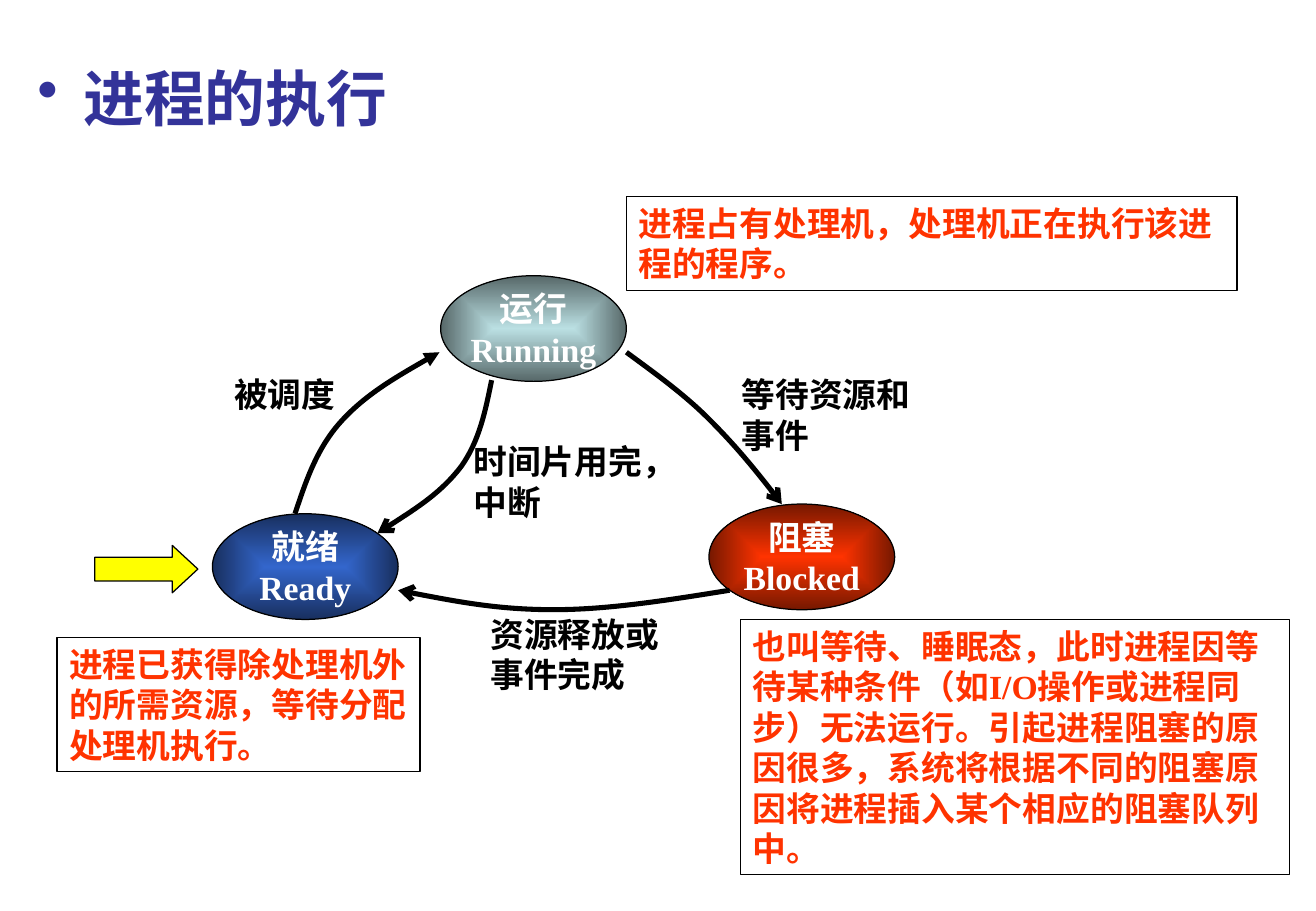
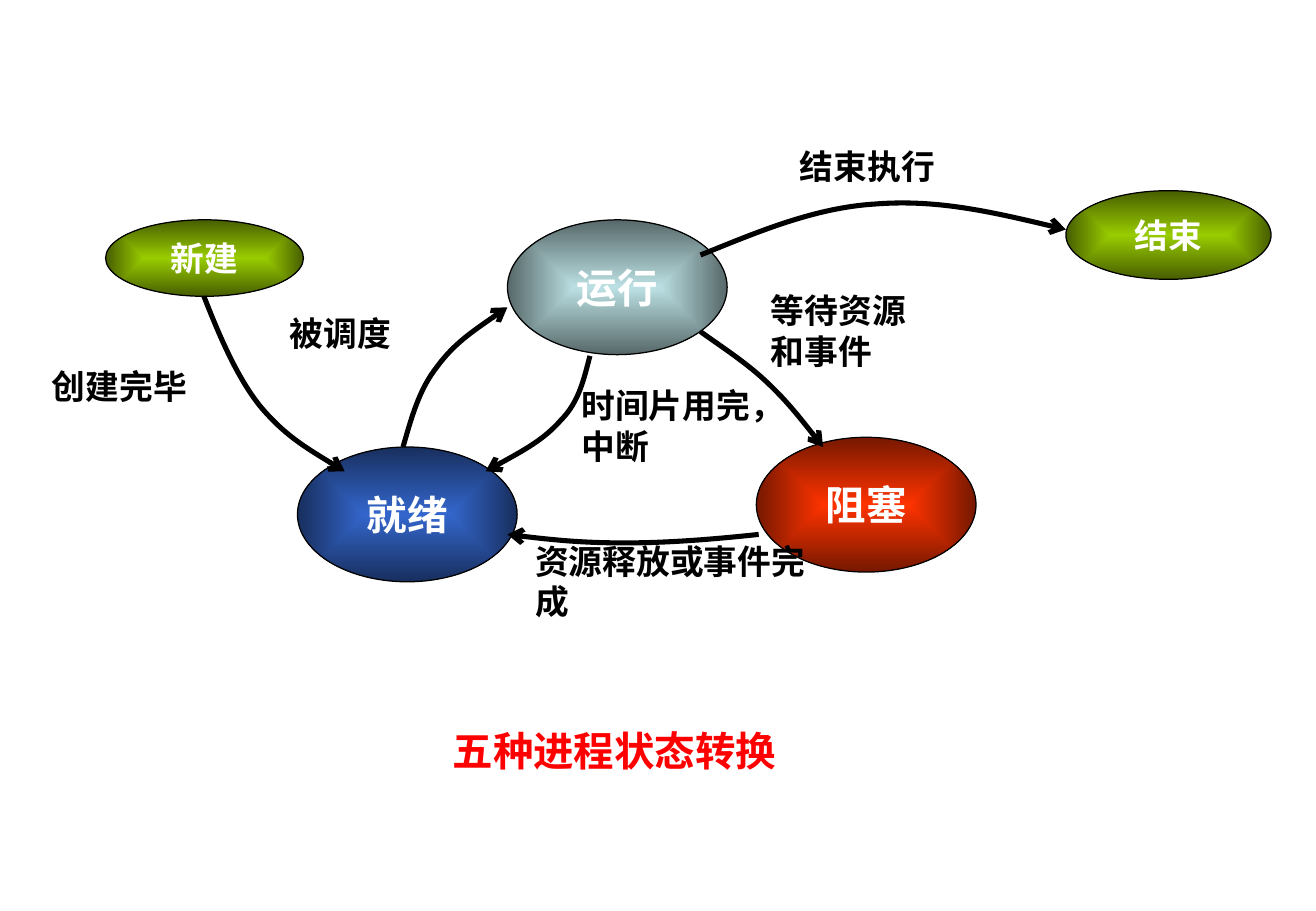
from dataclasses import dataclass

import lxml.etree
import pptx
import pptx.dml.color
import pptx.enum.shapes
import pptx.enum.text
import pptx.oxml.ns
import pptx.presentation
import pptx.shapes.autoshape
import pptx.slide
import pptx.text.text
import pptx.util

Inches = pptx.util.Inches
Align = pptx.enum.text.PP_ALIGN
Anchor = pptx.enum.text.MSO_ANCHOR
ShapeType = pptx.enum.shapes.MSO_SHAPE
qn = pptx.oxml.ns.qn

Box = tuple[float, float, float, float]  # left, top, width, height in inches
Point = tuple[float, float]
Gradient = tuple[str, str]  # centre, edge


@dataclass(frozen=True)
class Theme:
    font: str = "Times New Roman"
    title_font: str = "Arial"
    title_size: int = 36
    large_size: int = 24
    body_size: int = 20
    outline_width: float = 0.75
    curve_width: float = 3
    title: str = "333399"
    ink: str = "000000"
    paper: str = "FFFFFF"
    note: str = "FF3300"
    caption: str = "FF0000"
    pointer: str = "FFFF00"
    running: Gradient = ("BBE0E3", "576869")
    ready: Gradient = ("3366CC", "182F5E")
    blocked: Gradient = ("FF3300", "761800")
    terminal: Gradient = ("99CC00", "475E00")


THEME = Theme()


@dataclass(frozen=True)
class State:
    text: str
    box: Box
    gradient: Gradient
    size: int = THEME.body_size


@dataclass(frozen=True)
class Transition:
    """An arrow of cubic curves: a start, then two controls and an end for each."""

    points: list[Point]
    label: str
    label_box: Box
    head: str = "arrow"


@dataclass(frozen=True)
class Note:
    text: str
    box: Box


def rgb(value: str) -> pptx.dml.color.RGBColor:
    return pptx.dml.color.RGBColor.from_string(value)


def lengths(values: tuple[float, ...]) -> list[int]:
    return [Inches(value) for value in values]


def write_text(frame: pptx.text.text.TextFrame, text: str, *,
               color: str = THEME.ink, size: int = THEME.body_size,
               font: str = THEME.font, align: Align = Align.LEFT,
               anchor: Anchor = Anchor.TOP, wrap: bool = True) -> None:
    """Write one bold paragraph for each line of text."""
    frame.word_wrap = wrap
    frame.vertical_anchor = anchor
    frame.text = text
    for paragraph in frame.paragraphs:
        paragraph.alignment = align
        paragraph.font.name = font
        paragraph.font.size = pptx.util.Pt(size)
        paragraph.font.bold = True
        paragraph.font.color.rgb = rgb(color)


def add_text(slide: pptx.slide.Slide, text: str, box: Box,
             **text_format) -> pptx.text.text.TextFrame:
    frame = slide.shapes.add_textbox(*lengths(box)).text_frame
    write_text(frame, text, **text_format)
    return frame


def add_outlined_shape(slide: pptx.slide.Slide, kind: ShapeType, box: Box,
                       fill: str = THEME.paper) -> pptx.shapes.autoshape.Shape:
    shape = slide.shapes.add_shape(kind, *lengths(box))
    shape.shadow.inherit = False
    shape.fill.solid()
    shape.fill.fore_color.rgb = rgb(fill)
    shape.line.color.rgb = rgb(THEME.ink)
    shape.line.width = pptx.util.Pt(THEME.outline_width)
    return shape


def fill_from_centre(shape: pptx.shapes.autoshape.Shape, gradient: Gradient) -> None:
    shape.fill.gradient()
    for stop, color in zip(shape.fill.gradient_stops, gradient):
        stop.color.rgb = rgb(color)
    gradient_fill = shape.element.spPr.find(qn("a:gradFill"))
    linear = gradient_fill.find(qn("a:lin"))
    rectangular = lxml.etree.Element(qn("a:path"), {"path": "rect"})
    lxml.etree.SubElement(rectangular, qn("a:fillToRect"),
                          {side: "50000" for side in "ltrb"})
    gradient_fill.replace(linear, rectangular)


def add_state(slide: pptx.slide.Slide, state: State) -> None:
    shape = add_outlined_shape(slide, ShapeType.OVAL, state.box)
    fill_from_centre(shape, state.gradient)
    write_text(shape.text_frame, state.text, color=THEME.paper, size=state.size,
               align=Align.CENTER, anchor=Anchor.MIDDLE, wrap=False)


def bend_segments(shape: pptx.shapes.autoshape.Shape) -> None:
    """Turn each three straight segments into one cubic curve."""
    segments = list(shape.element.iter(qn("a:lnTo")))
    for first in range(0, len(segments), 3):
        curve = lxml.etree.Element(qn("a:cubicBezTo"))
        segments[first].addprevious(curve)
        for segment in segments[first:first + 3]:
            curve.append(segment[0])
            segment.getparent().remove(segment)


def add_transition(slide: pptx.slide.Slide, transition: Transition) -> None:
    start, *others = [lengths(point) for point in transition.points]
    builder = slide.shapes.build_freeform(*start)
    builder.add_line_segments(others, close=False)
    shape = builder.convert_to_shape()
    bend_segments(shape)
    shape.shadow.inherit = False
    shape.fill.background()
    shape.line.color.rgb = rgb(THEME.ink)
    shape.line.width = pptx.util.Pt(THEME.curve_width)
    line = shape.element.spPr.find(qn("a:ln"))
    lxml.etree.SubElement(line, qn("a:tailEnd"), {"type": transition.head})
    add_text(slide, transition.label, transition.label_box)


def add_note(slide: pptx.slide.Slide, note: Note) -> None:
    shape = add_outlined_shape(slide, ShapeType.RECTANGLE, note.box)
    write_text(shape.text_frame, note.text, color=THEME.note)


def add_bulleted_title(slide: pptx.slide.Slide, text: str) -> None:
    frame = add_text(slide, text, (0.21, 0.45, 10.24, 0.7), color=THEME.title,
                     size=THEME.title_size, font=THEME.title_font)
    properties = frame.paragraphs[0]._p.get_or_add_pPr()
    indent = Inches(0.38)
    properties.set("marL", str(indent))
    properties.set("indent", str(-indent))
    bullet = lxml.etree.Element(qn("a:buChar"), {"char": "•"})
    properties.insert(0, bullet)


def add_diagram(presentation: pptx.presentation.Presentation, states: list[State],
                transitions: list[Transition]) -> pptx.slide.Slide:
    slide = presentation.slides.add_slide(presentation.slide_layouts[6])
    for state in states:
        add_state(slide, state)
    for transition in transitions:
        add_transition(slide, transition)
    return slide


THREE_STATES = [
    State("运行\nRunning", (3.63, 2.27, 1.53, 0.87), THEME.running),
    State("阻塞\nBlocked", (5.84, 4.15, 1.53, 0.87), THEME.blocked),
    State("就绪\nReady", (1.75, 4.23, 1.53, 0.87), THEME.ready),
]
THREE_STATE_TRANSITIONS = [
    Transition([(2.43, 4.23), (2.52, 3.96), (2.61, 3.69), (2.81, 3.47),
                (3.01, 3.25), (3.32, 3.07), (3.62, 2.9)],
               "被调度", (1.83, 3.03, 1.37, 0.44), head="triangle"),
    Transition([(4.05, 3.13), (4, 3.38), (3.95, 3.63), (3.8, 3.84),
                (3.64, 4.05), (3.38, 4.22), (3.11, 4.39)],
               "时间片用完，中断", (3.8, 3.58, 1.71, 0.77)),
    Transition([(6.01, 4.86), (5.51, 4.94), (5.02, 5.02), (4.56, 5.02),
                (4.11, 5.02), (3.69, 4.94), (3.28, 4.86)],
               "资源释放或事件完成", (3.94, 5, 1.79, 0.77)),
    Transition([(5.16, 2.9), (5.39, 3.07), (5.63, 3.24), (5.84, 3.45),
                (6.05, 3.66), (6.25, 3.9), (6.44, 4.15)],
               "等待资源和事件", (6.01, 3.03, 1.62, 0.77)),
]
NOTES = [
    Note("进程占有处理机，处理机正在执行该进程的程序。", (5.16, 1.62, 5.03, 0.77)),
    Note("进程已获得除处理机外的所需资源，等待分配处理机执行。",
         (0.47, 5.25, 2.99, 1.1)),
    Note("也叫等待、睡眠态，此时进程因等待某种条件（如I/O操作或进程同步）无法运行。"
         "引起进程阻塞的原因很多，系统将根据不同的阻塞原因将进程插入某个相应的阻塞队列中。",
         (6.1, 5.1, 4.52, 2.1)),
]

FIVE_STATES = [
    State("运行", (4.18, 1.81, 1.81, 1.11), THEME.running, THEME.large_size),
    State("就绪", (2.45, 3.68, 1.81, 1.11), THEME.ready, THEME.large_size),
    State("阻塞", (6.23, 3.6, 1.81, 1.11), THEME.blocked, THEME.large_size),
    State("新建", (0.87, 1.81, 1.63, 0.63), THEME.terminal),
    State("结束", (8.78, 1.57, 1.69, 0.73), THEME.terminal),
]
FIVE_STATE_TRANSITIONS = [
    Transition([(3.32, 3.68), (3.39, 3.44), (3.45, 3.21), (3.6, 3.02),
                (3.74, 2.83), (3.96, 2.68), (4.18, 2.53)],
               "被调度", (2.29, 2.53, 1.71, 0.44)),
    Transition([(4.86, 2.93), (4.81, 3.12), (4.77, 3.31), (4.62, 3.46),
                (4.48, 3.62), (4.24, 3.75), (4, 3.88)],
               "时间片用完，中断", (4.69, 3.12, 2.09, 0.77)),
    Transition([(5.77, 2.73), (5.95, 2.86), (6.14, 2.98), (6.31, 3.14),
                (6.48, 3.3), (6.63, 3.49), (6.78, 3.68)],
               "等待资源\n和事件", (6.25, 2.34, 2.21, 0.77)),
    Transition([(6.25, 4.4), (5.88, 4.44), (5.5, 4.47), (5.15, 4.47),
                (4.81, 4.47), (4.49, 4.44), (4.18, 4.4)],
               "资源释放或事件完成", (4.31, 4.4, 2.43, 0.77)),
    Transition([(1.68, 2.44), (1.81, 2.77), (1.95, 3.1), (2.14, 3.34),
                (2.34, 3.58), (2.59, 3.73), (2.84, 3.88)],
               "创建完毕", (0.33, 2.96, 1.86, 0.44)),
    Transition([(5.77, 2.1), (6.24, 1.91), (6.71, 1.71), (7.21, 1.68),
                (7.71, 1.64), (8.24, 1.76), (8.78, 1.89)],
               "结束执行", (6.49, 1.15, 2.05, 0.44)),
]


def build_execution_slide(presentation: pptx.presentation.Presentation) -> None:
    slide = add_diagram(presentation, THREE_STATES, THREE_STATE_TRANSITIONS)
    add_bulleted_title(slide, "进程的执行")
    for note in NOTES:
        add_note(slide, note)
    pointer = add_outlined_shape(slide, ShapeType.RIGHT_ARROW,
                                 (0.78, 4.49, 0.85, 0.39), THEME.pointer)
    pointer.adjustments[1] = 0.54


def build_five_state_slide(presentation: pptx.presentation.Presentation) -> None:
    slide = add_diagram(presentation, FIVE_STATES, FIVE_STATE_TRANSITIONS)
    add_text(slide, "五种进程状态转换", (3.63, 5.93, 3.16, 0.5),
             color=THEME.caption, size=THEME.large_size)


def main() -> None:
    presentation = pptx.Presentation()
    presentation.slide_width = Inches(10.84)
    presentation.slide_height = Inches(7.5)
    build_execution_slide(presentation)
    build_five_state_slide(presentation)
    presentation.save("out.pptx")


if __name__ == "__main__":
    main()
